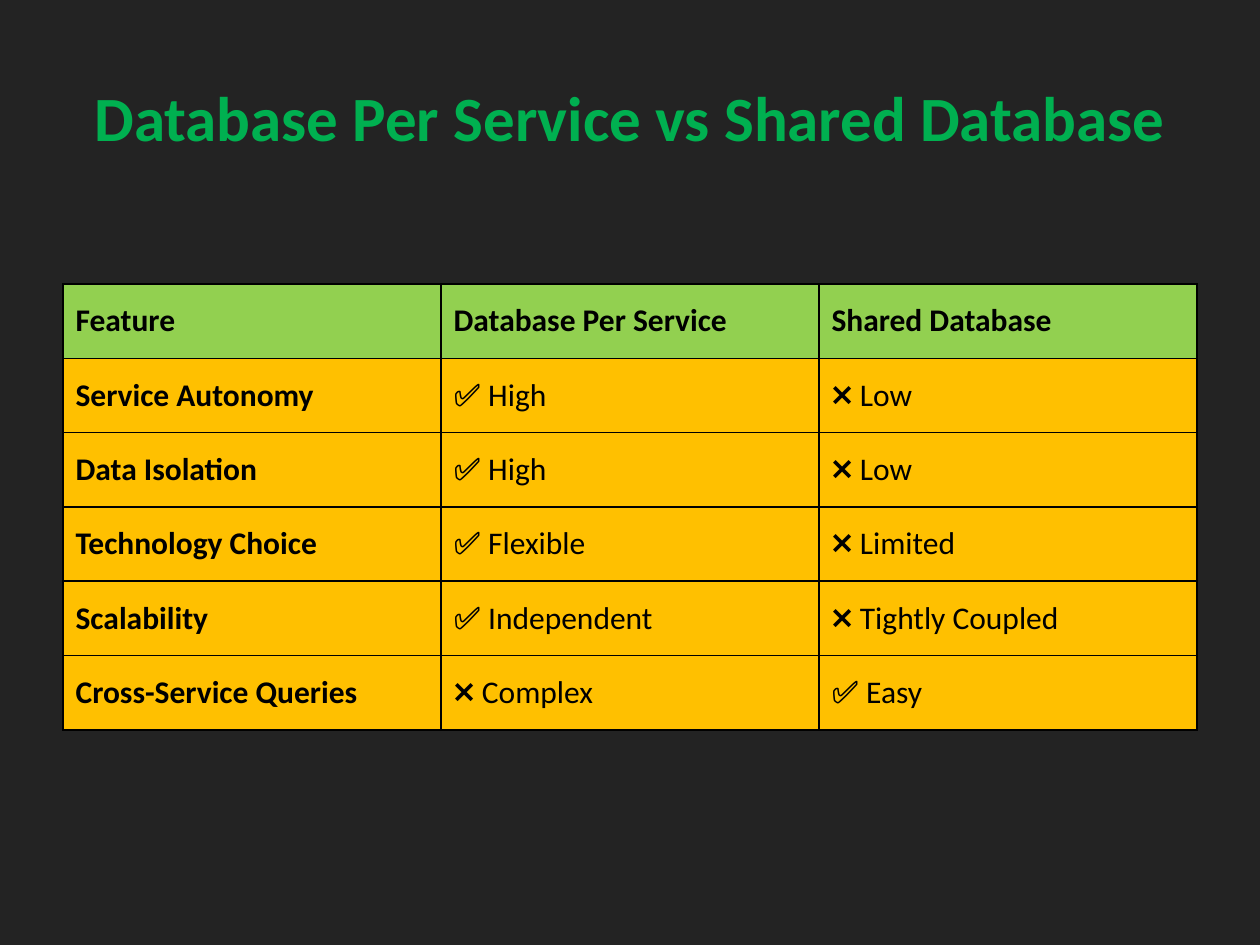
from dataclasses import dataclass

from lxml.etree import SubElement
from pptx import Presentation
from pptx.dml.color import RGBColor
from pptx.enum.text import MSO_ANCHOR, PP_ALIGN
from pptx.oxml.ns import qn
from pptx.util import Inches, Pt

PX_PER_INCH = 126


@dataclass(frozen=True)
class Theme:
    font: str = "Calibri"
    background: str = "232323"
    title: str = "00B050"
    header: str = "92D050"
    body: str = "FFC000"
    text: str = "000000"
    border: str = "000000"
    title_size: int = 36
    table_size: int = 18
    border_width: int = 1


THEME = Theme()

TITLE = "Database Per Service vs Shared Database"
COMPARISON = [
    ("Feature", "Database Per Service", "Shared Database"),
    ("Service Autonomy", "✅ High", "❌ Low"),
    ("Data Isolation", "✅ High", "❌ Low"),
    ("Technology Choice", "✅ Flexible", "❌ Limited"),
    ("Scalability", "✅ Independent", "❌ Tightly Coupled"),
    ("Cross-Service Queries", "❌ Complex", "✅ Easy"),
]


def px(n):
    return Inches(n / PX_PER_INCH)


def paint(fill, color):
    fill.solid()
    fill.fore_color.rgb = RGBColor.from_string(color)


def style_paragraph(p, size, color, bold):
    p.font.name = THEME.font
    p.font.size = Pt(size)
    p.font.bold = bold
    p.font.color.rgb = RGBColor.from_string(color)


def add_title(slide, text, left, top, width, height):
    tf = slide.shapes.add_textbox(px(left), px(top), px(width), px(height)).text_frame
    tf.word_wrap = True
    tf.vertical_anchor = MSO_ANCHOR.MIDDLE
    p = tf.paragraphs[0]
    p.text = text
    p.alignment = PP_ALIGN.CENTER
    style_paragraph(p, THEME.title_size, THEME.title, True)


def add_borders(cell):
    tc_pr = cell._tc.get_or_add_tcPr()
    # Border lines must come before the fill in the cell properties
    for i, side in enumerate(("a:lnL", "a:lnR", "a:lnT", "a:lnB")):
        ln = SubElement(tc_pr, qn(side), w=str(Pt(THEME.border_width)))
        SubElement(SubElement(ln, qn("a:solidFill")), qn("a:srgbClr"), val=THEME.border)
        tc_pr.insert(i, ln)


def add_table(slide, rows, left, top, width, height):
    table = slide.shapes.add_table(
        len(rows), len(rows[0]), px(left), px(top), px(width), px(height)
    ).table
    table.horz_banding = False
    for r, row in enumerate(rows):
        for c, text in enumerate(row):
            cell = table.cell(r, c)
            cell.text = text
            cell.vertical_anchor = MSO_ANCHOR.MIDDLE
            paint(cell.fill, THEME.header if r == 0 else THEME.body)
            # Header row and feature column are bold
            style_paragraph(cell.text_frame.paragraphs[0], THEME.table_size,
                            THEME.text, r == 0 or c == 0)
            add_borders(cell)


def main():
    prs = Presentation()
    prs.slide_width, prs.slide_height = px(1260), px(945)
    slide = prs.slides.add_slide(prs.slide_layouts[6])
    paint(slide.background.fill, THEME.background)

    # Heading
    add_title(slide, TITLE, 63, 37, 1134, 158)
    # Comparison of the two approaches
    add_table(slide, COMPARISON, 63, 284, 1134, 446)

    prs.save("out.pptx")


if __name__ == "__main__":
    main()
